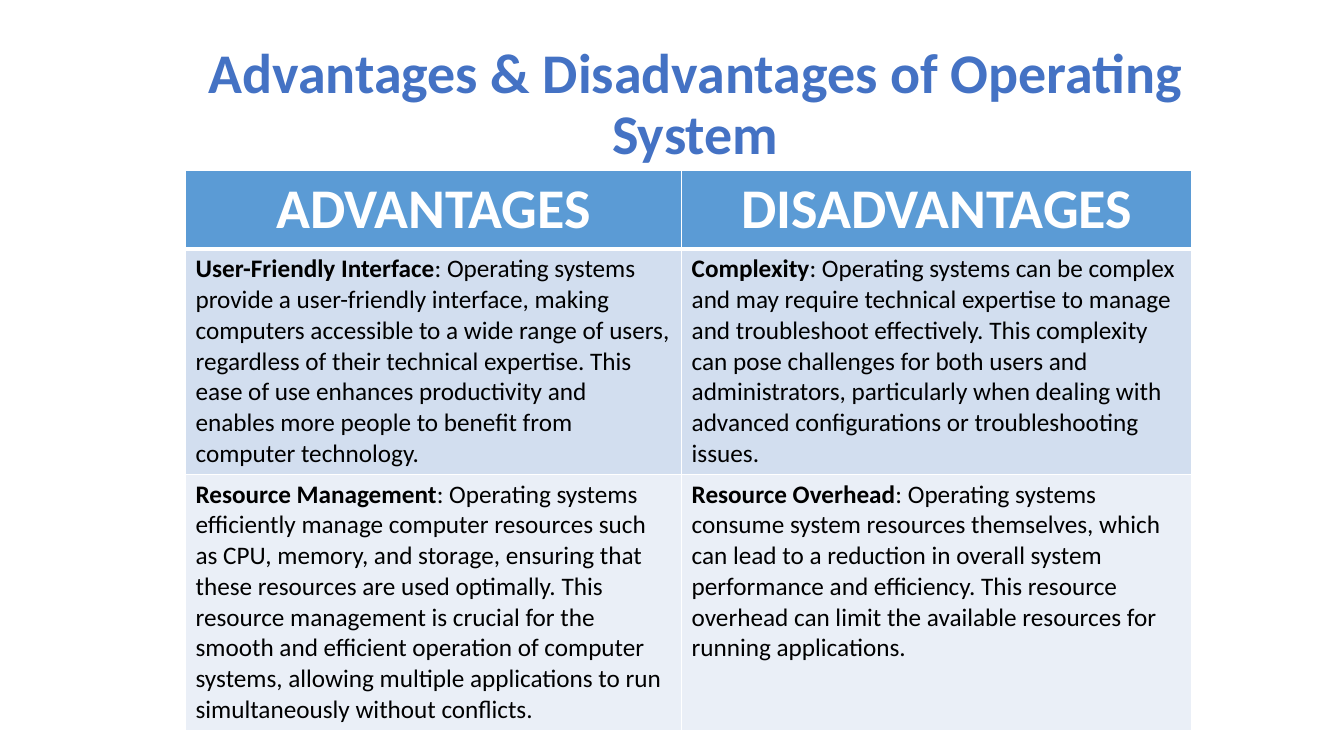
from lxml import etree
from pptx import Presentation
from pptx.dml.color import RGBColor
from pptx.enum.text import MSO_ANCHOR, MSO_AUTO_SIZE, PP_ALIGN
from pptx.oxml.ns import qn
from pptx.util import Inches, Pt

FONT = "Calibri"
TITLE_BLUE = RGBColor(0x44, 0x72, 0xC4)
HEADER_BLUE = RGBColor(0x5B, 0x9B, 0xD5)
BAND_DARK = RGBColor(0xD2, 0xDE, 0xEF)
BAND_LIGHT = RGBColor(0xEA, 0xEF, 0xF7)
WHITE = RGBColor(0xFF, 0xFF, 0xFF)
BLACK = RGBColor(0, 0, 0)

TITLE_BOX = (1.96, 0.4, 9.87, 1.3)
TABLE_BOX = (1.84, 1.69, 9.98, 5.11)
COLUMN_SHARES = (0.493, 0.507)
ROW_SHARES = (0.133, 0.382, 0.485)

HEADINGS = ("ADVANTAGES", "DISADVANTAGES")
POINTS = (
    (
        ("User-Friendly Interface",
         ": Operating systems provide a user-friendly interface, making computers "
         "accessible to a wide range of users, regardless of their technical expertise. "
         "This ease of use enhances productivity and enables more people to benefit from "
         "computer technology."),
        ("Complexity",
         ": Operating systems can be complex and may require technical expertise to "
         "manage and troubleshoot effectively. This complexity can pose challenges for "
         "both users and administrators, particularly when dealing with advanced "
         "configurations or troubleshooting issues."),
    ),
    (
        ("Resource Management",
         ": Operating systems efficiently manage computer resources such as CPU, memory, "
         "and storage, ensuring that these resources are used optimally. This resource "
         "management is crucial for the smooth and efficient operation of computer "
         "systems, allowing multiple applications to run simultaneously without conflicts."),
        ("Resource Overhead",
         ": Operating systems consume system resources themselves, which can lead to a "
         "reduction in overall system performance and efficiency. This resource overhead "
         "can limit the available resources for running applications."),
    ),
)


def add_run(paragraph, text, size, color, bold):
    run = paragraph.add_run()
    run.text = text
    run.font.name = FONT
    run.font.size = Pt(size)
    run.font.color.rgb = color
    run.font.bold = bold


def set_borders(cell, bottom_width):
    """Draw white cell borders, 1 pt wide except at the bottom."""
    properties = cell._tc.get_or_add_tcPr()
    widths = {"a:lnL": 1, "a:lnR": 1, "a:lnT": 1, "a:lnB": bottom_width}
    for position, (side, width) in enumerate(widths.items()):
        line = etree.Element(qn(side), w=str(Pt(width)))
        fill = etree.SubElement(line, qn("a:solidFill"))
        etree.SubElement(fill, qn("a:srgbClr"), val=str(WHITE))
        properties.insert(position, line)


def fill_cell(cell, color, bottom_width=1):
    cell.fill.solid()
    cell.fill.fore_color.rgb = color
    set_borders(cell, bottom_width)


def place_title(slide, box):
    title = slide.shapes.title
    title.left, title.top, title.width, title.height = map(Inches, box)
    frame = title.text_frame
    frame.word_wrap = True
    frame.auto_size = MSO_AUTO_SIZE.NONE
    frame.vertical_anchor = MSO_ANCHOR.MIDDLE
    heading = frame.paragraphs[0]
    heading.alignment = PP_ALIGN.CENTER
    heading.line_spacing = 0.9
    add_run(heading, "Advantages & Disadvantages of Operating System", 40, TITLE_BLUE, True)


def place_comparison(slide, box):
    left, top, width, height = map(Inches, box)
    table = slide.shapes.add_table(
        len(ROW_SHARES), len(COLUMN_SHARES), left, top, width, height).table
    for column, share in zip(table.columns, COLUMN_SHARES):
        column.width = int(width * share)
    for row, share in zip(table.rows, ROW_SHARES):
        row.height = int(height * share)

    for column, heading in enumerate(HEADINGS):
        cell = table.cell(0, column)
        fill_cell(cell, HEADER_BLUE, bottom_width=3)
        paragraph = cell.text_frame.paragraphs[0]
        paragraph.alignment = PP_ALIGN.CENTER
        add_run(paragraph, heading, 40, WHITE, True)

    for row, (points, band) in enumerate(zip(POINTS, (BAND_DARK, BAND_LIGHT)), start=1):
        for column, (term, explanation) in enumerate(points):
            cell = table.cell(row, column)
            fill_cell(cell, band, bottom_width=1)
            paragraph = cell.text_frame.paragraphs[0]
            add_run(paragraph, term, 18, BLACK, True)
            add_run(paragraph, explanation, 18, BLACK, False)
            # The top row of points meets the thick rule under the headings
            if row == 1:
                cell._tc.tcPr.find(qn("a:lnT")).set("w", str(Pt(3)))


def main():
    deck = Presentation()
    deck.slide_width, deck.slide_height = Inches(13.33), Inches(7.5)
    slide = deck.slides.add_slide(deck.slide_layouts[5])
    place_comparison(slide, TABLE_BOX)
    place_title(slide, TITLE_BOX)
    deck.save("out.pptx")


if __name__ == "__main__":
    main()
